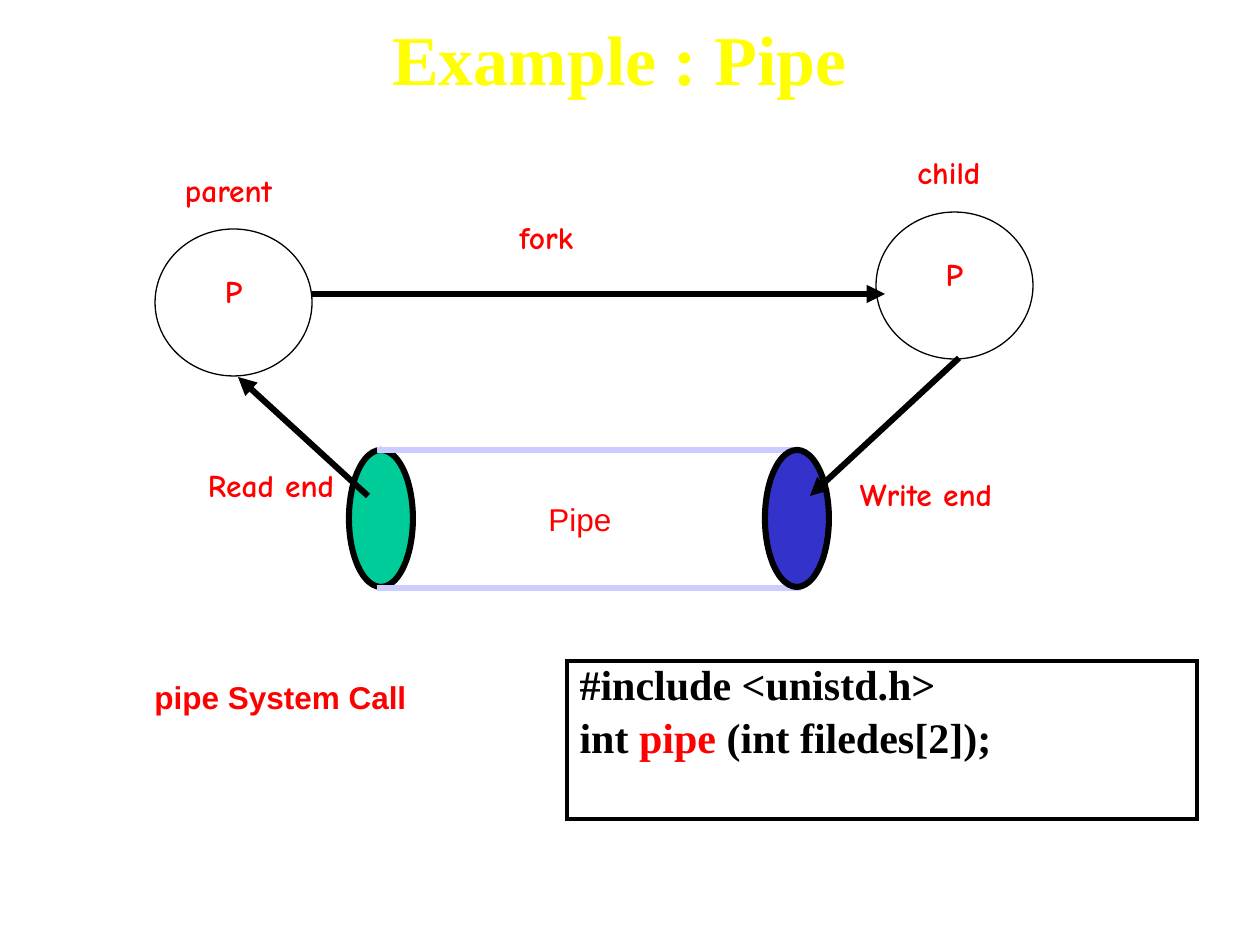
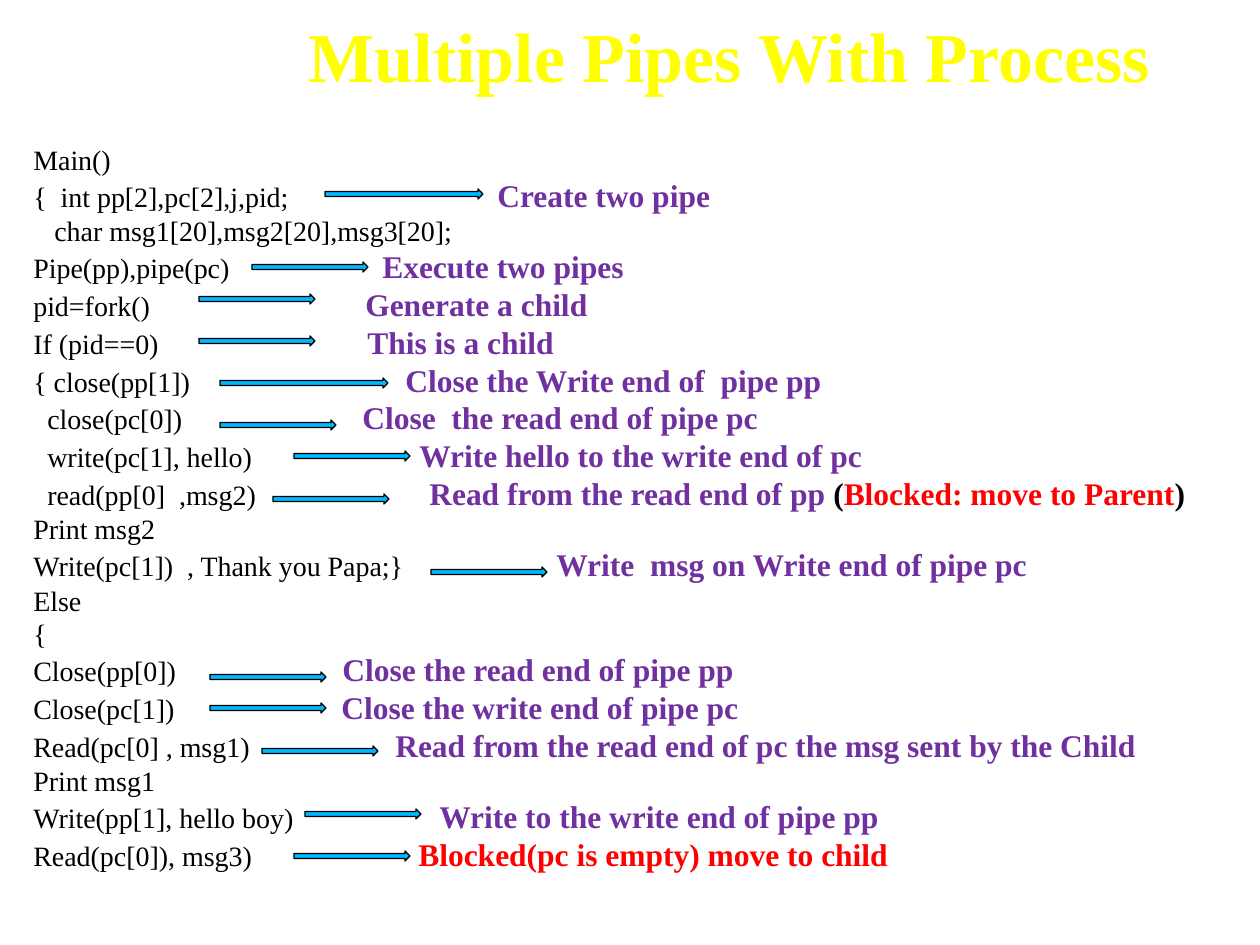
from dataclasses import dataclass

from lxml import etree
from pptx import Presentation
from pptx.dml.color import RGBColor
from pptx.enum.shapes import MSO_CONNECTOR, MSO_SHAPE
from pptx.enum.text import MSO_ANCHOR, PP_ALIGN
from pptx.oxml.ns import qn
from pptx.util import Pt

STRAIGHT = MSO_CONNECTOR.STRAIGHT
ELLIPSE, RIGHT_ARROW = MSO_SHAPE.OVAL, MSO_SHAPE.RIGHT_ARROW
TOP, MIDDLE = MSO_ANCHOR.TOP, MSO_ANCHOR.MIDDLE
LEFT, CENTER = PP_ALIGN.LEFT, PP_ALIGN.CENTER
EMU_PER_PX = 914400 / 126


@dataclass(frozen=True)
class Theme:
    serif: str = "Times New Roman"
    sans: str = "Arial"
    comic: str = "Comic Neue"
    white: str = "FFFFFF"
    black: str = "000000"
    yellow: str = "FFFF00"
    red: str = "FF0000"
    purple: str = "7030A0"
    green: str = "00CC99"
    blue: str = "3333CC"
    lavender: str = "CCCCFF"
    sky: str = "00B8FF"
    title_pt: int = 40
    syntax_pt: int = 24
    label_pt: int = 18
    code_pt: int = 16
    thin_pt: float = 0.75
    border_pt: float = 2.25
    thick_pt: float = 3.5


T = Theme()

# Slide 1: process circles, labels, the pipe and the system call
PROCESSES = [(155, 229), (876, 212)]
PROCESS_SIZE = (157, 147)
LABELS = [
    ("fork", (507, 212, 166, 55), LEFT),
    ("parent", (136, 165, 185, 55), CENTER),
    ("child", (866, 147, 166, 55), CENTER),
    ("Write end", (829, 469, 194, 100), CENTER),
    ("Read end", (192, 460, 158, 100), CENTER),
]
FORK_ARROW = (312, 294, 885, 294)
END_ARROWS = [(959, 358, 810, 496), (368, 496, 238, 377)]
PIPE_WALLS = [(377, 450, 793, 450), (377, 588, 801, 588)]
READ_END, WRITE_END = (349, 450, 64, 137), (765, 450, 64, 137)
SYNTAX_BOX = (567, 661, 630, 158)
SYNTAX = [
    [("#include <unistd.h>", T.black)],
    [("int ", T.black), ("pipe", T.red), (" (int filedes[2]);", T.black)],
]

# Slide 2: (indent, code, note x, note runs, arrow (left, top, width))
CODE_BOX = (21, 136, 1187, 746)
CODE_LEFT = 34
ARROW_HEIGHT = 10


def line(code, note="", note_x=0, arrow=None, indent=0, color=T.purple, tail=()):
    """One row of the listing, with its note and the arrow that leads to it."""
    runs = [(note, color), *tail] if note else []
    return indent, code, note_x, runs, arrow


PROGRAM = [
    line("Main()"),
    line("{  int pp[2],pc[2],j,pid;", "Create two pipe", 498, (325, 189, 158)),
    line("char msg1[20],msg2[20],msg3[20];", indent=21),
    line("Pipe(pp),pipe(pc)", "Execute two pipes", 383, (252, 262, 116)),
    line("pid=fork()", "Generate a child", 366, (199, 294, 116)),
    line("If (pid==0)", "This is a child", 368, (199, 336, 116)),
    line("{ close(pp[1])", "Close the Write end of  pipe pp", 406, (220, 378, 168)),
    line("close(pc[0])", "Close  the read end of pipe pc", 363, (220, 420, 116), 14),
    line("write(pc[1], hello)", "Write hello to the write end of pc", 420,
         (294, 451, 116), 14),
    line("read(pp[0]  ,msg2)", "Read from the read end of pp ", 430,
         (273, 494, 116), 14,
         tail=[("(", T.black), ("Blocked: move to Parent", T.red), (")", T.black)]),
    line("Print msg2"),
    line("Write(pc[1])  , Thank you Papa;}", "Write  msg on Write end of pipe pc",
         557, (431, 567, 116)),
    line("Else"),
    line("{"),
    line("Close(pp[0])", "Close the read end of pipe pp", 343, (210, 672, 116)),
    line("Close(pc[1])", "Close the write end of pipe pc", 342, (210, 703, 116)),
    line("Read(pc[0] , msg1)", "Read from the read end of pc the msg sent by the Child",
         396, (262, 746, 116)),
    line("Print msg1"),
    line("Write(pp[1], hello boy)", "Write to the write end of pipe pp", 440,
         (305, 809, 116)),
    line("Read(pc[0]), msg3)", "Blocked(pc is empty) move to child", 419,
         (294, 851, 116), color=T.red),
]


def px(*values):
    return [round(v * EMU_PER_PX) for v in values]


def rgb(color):
    return RGBColor.from_string(color)


def add_run(p, text, size, color, font=T.serif, bold=False):
    r = p.add_run()
    r.text = text
    r.font.size, r.font.name, r.font.bold = Pt(size), font, bold
    r.font.color.rgb = rgb(color)


def text_frame(s, box, anchor=TOP):
    tf = s.shapes.add_textbox(*px(*box)).text_frame
    tf.word_wrap = True
    tf.vertical_anchor = anchor
    return tf


def add_label(s, text, box, align=CENTER, font=T.comic, bold=True,
              size=T.label_pt, color=T.red, anchor=TOP):
    p = text_frame(s, box, anchor).paragraphs[0]
    p.alignment = align
    add_run(p, text, size, color, font, bold)


def add_title(s, text, box, anchor=TOP):
    add_label(s, text, box, font=T.serif, size=T.title_pt, color=T.yellow,
              anchor=anchor)


def add_shape(s, kind, box, fill, width):
    sp = s.shapes.add_shape(kind, *px(*box))
    sp.shadow.inherit = False
    sp.fill.solid()
    sp.fill.fore_color.rgb = rgb(fill)
    sp.line.color.rgb = rgb(T.black)
    sp.line.width = Pt(width)


def add_line(s, ends, color=T.black, arrow=False):
    c = s.shapes.add_connector(STRAIGHT, *px(*ends))
    c.line.color.rgb = rgb(color)
    c.line.width = Pt(T.thick_pt)
    sp_pr = c._element.spPr
    if arrow:
        etree.SubElement(sp_pr.find(qn("a:ln")), qn("a:tailEnd"), type="triangle")
    etree.SubElement(sp_pr, qn("a:effectLst"))


def set_borders(cell):
    tc_pr = cell._tc.get_or_add_tcPr()
    for i, side in enumerate(("lnL", "lnR", "lnT", "lnB")):
        ln = etree.Element(qn(f"a:{side}"), w=str(Pt(T.border_pt)))
        fill = etree.SubElement(ln, qn("a:solidFill"))
        etree.SubElement(fill, qn("a:srgbClr"), val=T.black)
        tc_pr.insert(i, ln)


def set_tabs(p, stops):
    tabs = etree.SubElement(p._p.get_or_add_pPr(), qn("a:tabLst"))
    for stop in px(*stops):
        etree.SubElement(tabs, qn("a:tab"), pos=str(stop), algn="l")


def add_syntax(s):
    table = s.shapes.add_table(1, 1, *px(*SYNTAX_BOX)).table
    table.first_row = table.horz_banding = False
    cell = table.cell(0, 0)
    cell.fill.background()
    set_borders(cell)
    tf = cell.text_frame
    for i, runs in enumerate(SYNTAX):
        p = tf.add_paragraph() if i else tf.paragraphs[0]
        p.line_spacing = 0.9
        p.space_before = Pt(6 if i else 0)
        for text, color in runs:
            add_run(p, text, T.syntax_pt, color, bold=True)


def build_pipe_slide(s):
    add_title(s, "Example : Pipe", (63, 21, 1113, 73), MIDDLE)
    for x, y in PROCESSES:
        add_shape(s, ELLIPSE, (x, y, *PROCESS_SIZE), T.white, T.thin_pt)
        add_label(s, "P", (x + 9, y + 37, 139, 55))
    add_line(s, FORK_ARROW, arrow=True)
    add_shape(s, ELLIPSE, READ_END, T.green, T.thick_pt)
    for wall in PIPE_WALLS:
        add_line(s, wall, T.lavender)
    add_shape(s, ELLIPSE, WRITE_END, T.blue, T.thick_pt)
    for ends in END_ARROWS:
        add_line(s, ends, arrow=True)
    for text, box, align in LABELS:
        add_label(s, text, box, align)
    add_label(s, "Pipe", (536, 494, 158, 63), LEFT, T.sans, bold=False)
    add_syntax(s)
    add_label(s, "pipe System Call", (116, 672, 329, 64), font=T.sans)


def build_program_slide(s):
    tf = text_frame(s, CODE_BOX)
    for i, (indent, code, note_x, notes, arrow) in enumerate(PROGRAM):
        p = tf.add_paragraph() if i else tf.paragraphs[0]
        stops = [indent] if indent else []
        if notes:
            stops.append(note_x - CODE_LEFT)
        if stops:
            set_tabs(p, stops)
        lead, gap = "\t" if indent else "", "\t" if notes else ""
        add_run(p, lead + code + gap, T.code_pt, T.black)
        for text, color in notes:
            add_run(p, text, T.label_pt, color, bold=True)
        if arrow:
            add_shape(s, RIGHT_ARROW, (*arrow, ARROW_HEIGHT), T.sky, T.thin_pt)
    add_title(s, "Multiple Pipes With Process", (257, 6, 945, 97))


def main():
    prs = Presentation()
    prs.slide_width, prs.slide_height = px(1260, 945)
    blank = prs.slide_layouts[6]
    for build in (build_pipe_slide, build_program_slide):
        build(prs.slides.add_slide(blank))
    prs.save("out.pptx")


if __name__ == "__main__":
    main()
